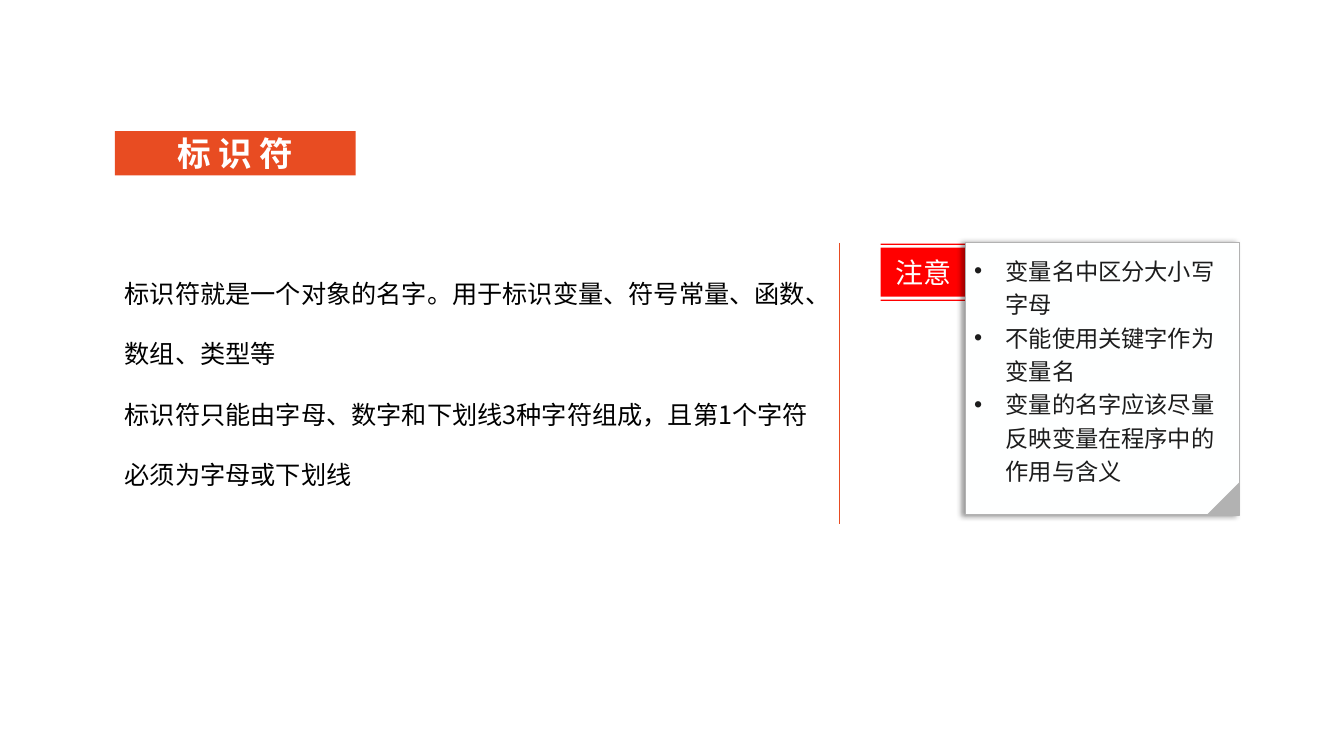
from dataclasses import dataclass

from lxml.etree import SubElement
from pptx import Presentation
from pptx.dml.color import RGBColor
from pptx.enum.shapes import MSO_CONNECTOR as Link, MSO_SHAPE as Form
from pptx.enum.text import MSO_ANCHOR as Anchor, PP_ALIGN as Align
from pptx.oxml.ns import qn
from pptx.util import Pt

FONT = "Noto Sans CJK SC"
ORANGE, RED, WHITE, GREY = "E84C22", "FF0000", "FEFFFF", "B2B2B2"
TOP = 173.5


@dataclass
class Box:
    left: float
    top: float
    width: float
    height: float

    @property
    def right(self) -> float:
        return self.left + self.width

    @property
    def bottom(self) -> float:
        return self.top + self.height

    def place(self) -> list:
        return [Pt(v) for v in (self.left, self.top, self.width, self.height)]


def color(code: str) -> RGBColor:
    return RGBColor.from_string(code)


def paint(shape, fill: str, line: str = "") -> None:
    shape.shadow.inherit = False
    shape.fill.solid()
    shape.fill.fore_color.rgb = color(fill)
    if line:
        shape.line.color.rgb = color(line)
        shape.line.width = Pt(0.75)
    else:
        shape.line.fill.background()


def draw(slide, form: Form, box: Box, fill: str, line: str = ""):
    shape = slide.shapes.add_shape(form, *box.place())
    paint(shape, fill, line)
    return shape


def write(shape, *lines: str, size: float, ink: str, bold: bool = False,
          align: Align = Align.LEFT, anchor: Anchor = Anchor.TOP,
          space: float = 1, pad: tuple = (7.2, 3.6), bullet: float = 0) -> None:
    """Fill a shape with paragraphs; bullet is the hanging indent."""
    frame = shape.text_frame
    frame.word_wrap = True
    frame.vertical_anchor = anchor
    frame.margin_left = frame.margin_right = Pt(pad[0])
    frame.margin_top = frame.margin_bottom = Pt(pad[1])
    for i, line in enumerate(lines):
        para = frame.add_paragraph() if i else frame.paragraphs[0]
        para.alignment = align
        para.line_spacing = float(space)
        if bullet:
            props = para._p.get_or_add_pPr()
            props.set("marL", str(Pt(bullet)))
            props.set("indent", str(Pt(-bullet)))
            SubElement(props, qn("a:buFont"), typeface="Arial")
            SubElement(props, qn("a:buChar"), char="•")
        run = para.add_run()
        run.text = line
        font = run.font
        font.name, font.size, font.bold = FONT, Pt(size), bold
        font.color.rgb = color(ink)
        SubElement(font._element, qn("a:ea"), typeface=FONT)


def shade(shape) -> None:
    """Cast a soft shadow to the left."""
    effects = shape._element.spPr.find(qn("a:effectLst"))
    cast = SubElement(effects, qn("a:outerShdw"), blurRad=str(Pt(4)),
                      dist=str(Pt(3)), dir="10800000", algn="r",
                      rotWithShape="0")
    tone = SubElement(cast, qn("a:srgbClr"), val="000000")
    SubElement(tone, qn("a:alpha"), val="40000")


def rule(slide, x: float, top: float, end: float) -> None:
    line = slide.shapes.add_connector(
        Link.STRAIGHT, Pt(x), Pt(top), Pt(x), Pt(end))
    line.line.color.rgb = color(ORANGE)
    line.line.width = Pt(0.5)
    SubElement(line._element.spPr, qn("a:effectLst"))


def flag(slide, bars: list[Box]):
    """Join several bars into one outline."""
    first = bars[0]
    pen = slide.shapes.build_freeform(first.left, first.top, scale=Pt(1))
    for bar in bars:
        if bar is not first:
            pen.move_to(bar.left, bar.top)
        pen.add_line_segments([(bar.right, bar.top), (bar.right, bar.bottom),
                               (bar.left, bar.bottom)], close=True)
    shape = pen.convert_to_shape()
    paint(shape, RED)
    return shape


def main() -> None:
    deck = Presentation()
    deck.slide_width, deck.slide_height = Pt(960), Pt(540)
    slide = deck.slides.add_slide(deck.slide_layouts[6])

    rule(slide, 599.8, TOP, 374.4)

    title = draw(slide, Form.RECTANGLE, Box(82, 93.6, 172, 31.7), ORANGE)
    write(title, "标 识 符", size=24, ink="FFFFFF", bold=True,
          align=Align.CENTER, anchor=Anchor.MIDDLE, pad=(0, 0))

    body = slide.shapes.add_textbox(*Box(82, TOP, 507.6, 181.4).place())
    write(body, "标识符就是一个对象的名字。用于标识变量、符号常量、函数、数组、类型等",
          "标识符只能由字母、数字和下划线3种字符组成，且第1个字符必须为字母或下划线",
          size=18, ink="000000", space=2)

    card = Box(689.8, TOP, 195.8, 194.4)
    left = 628.6
    bars = [Box(left, TOP + y, card.left - left, high)
            for y, high in ((0, 1.5), (3.5, 34.5), (40, 1.5))]
    write(flag(slide, bars), "注意", size=20, ink=WHITE,
          align=Align.CENTER, anchor=Anchor.MIDDLE)

    note = draw(slide, Form.RECTANGLE, card, WHITE, GREY)
    shade(note)
    write(note, "变量名中区分大小写字母", "不能使用关键字作为变量名",
          "变量的名字应该尽量反映变量在程序中的作用与含义",
          size=16.6, ink="1C1C1C", space=1.2, pad=(6, 6), bullet=22.5)

    fold = 23.8
    curl = draw(slide, Form.RIGHT_TRIANGLE,
                Box(card.right - fold, card.bottom - fold, fold, fold), GREY)
    curl.rotation = 270

    deck.save("out.pptx")


if __name__ == "__main__":
    main()
